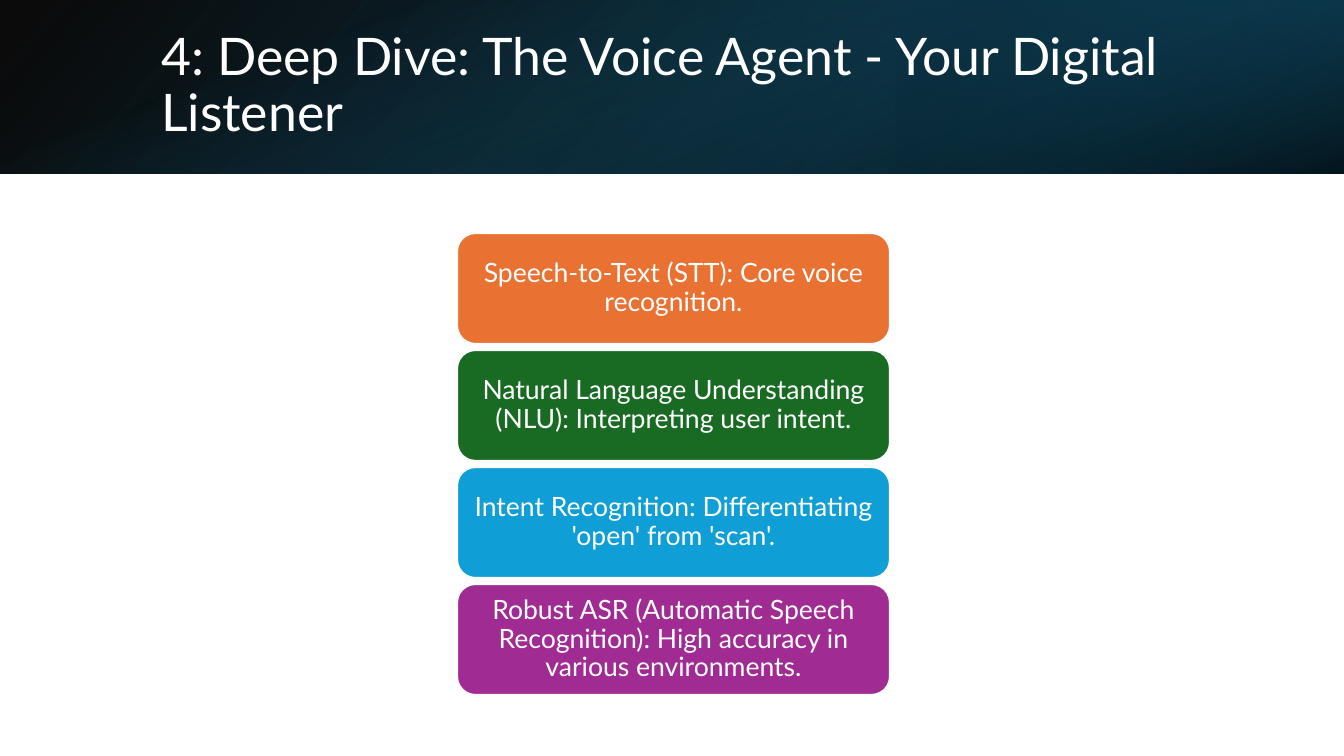
from lxml.etree import SubElement as Sub
from pptx import Presentation
from pptx.dml.color import RGBColor as RGB
from pptx.enum.shapes import MSO_SHAPE as Shape
from pptx.enum.text import MSO_ANCHOR as Anchor, MSO_AUTO_SIZE as Fit, PP_ALIGN as Align
from pptx.oxml.ns import qn
from pptx.util import Pt

HUES = {
    "white": "FFFFFF", "black": "000000", "navy": "104862", "deep": "0B3041",
    "teal": "156082", "orange": "E97132", "green": "196B24", "blue": "0F9ED5",
    "plum": "A02B93",
}
WIDE, HIGH, BAND = 1344, 756, 174
SCALE = 12192000 / WIDE


def px(size):
    return round(size * SCALE)


class Deck:
    font = "Lato"

    def __init__(self):
        self.file = Presentation()
        self.file.slide_width, self.file.slide_height = px(WIDE), px(HIGH)
        self.slide = self.file.slides.add_slide(self.file.slide_layouts[5])

    def hue(self, name):
        return RGB.from_string(HUES[name])

    def label(self, frame, text, size, align):
        frame.text = text
        frame.word_wrap = True
        frame.auto_size = Fit.NONE
        frame.vertical_anchor = Anchor.MIDDLE
        line = frame.paragraphs[0]
        line.alignment = align
        line.line_spacing = 0.9
        font = line.runs[0].font
        font.name, font.size = self.font, Pt(size)
        font.color.rgb = self.hue("white")

    def title(self, box, text):
        shape = self.slide.shapes.title
        shape.left, shape.top, shape.width, shape.height = map(px, box)
        self.label(shape.text_frame, text, 37, Align.LEFT)

    def shape(self, kind, box):
        shape = self.slide.shapes.add_shape(kind, *map(px, box))
        shape.shadow.inherit = False
        return shape

    def shade(self, box, stops, angle, turn=0, flip=False):
        shape = self.shape(Shape.RECTANGLE, box)
        shape.line.fill.background()
        shape.rotation = turn
        if flip:
            shape.element.spPr.xfrm.set("flipH", "1")
        shape.fill.gradient()
        grad = shape.element.spPr.find(qn("a:gradFill"))
        grad.set("rotWithShape", "1")
        for part in list(grad):
            grad.remove(part)
        steps = Sub(grad, qn("a:gsLst"))
        for place, name, alpha in stops:
            stop = Sub(steps, qn("a:gs"), pos=str(place * 1000))
            tint = Sub(stop, qn("a:srgbClr"), val=HUES[name])
            Sub(tint, qn("a:alpha"), val=str(alpha * 1000))
        Sub(grad, qn("a:lin"), ang=str(angle * 60000), scaled="0")
        self.slide.shapes.title.element.addprevious(shape.element)

    def card(self, box, name, text):
        shape = self.shape(Shape.ROUNDED_RECTANGLE, box)
        shape.fill.solid()
        shape.fill.fore_color.rgb = self.hue(name)
        shape.line.color.rgb = self.hue("white")
        shape.line.width = Pt(1.5)
        frame = shape.text_frame
        frame.margin_left = frame.margin_right = px(8)
        frame.margin_top = frame.margin_bottom = px(4)
        self.label(frame, text, 19, Align.CENTER)


def main():
    deck = Deck()
    deck.shade((0, 0, WIDE, BAND), [(0, "black", 96), (100, "navy", 100)], 140, flip=True)
    deck.shade((896, 0, 448, BAND), [(19, "deep", 68), (100, "teal", 79)], 320, 180, True)
    mid = (WIDE - BAND) // 2
    deck.shade((mid, -mid, BAND, WIDE), [(23, "teal", 0), (99, "black", 74)], 340, 90)
    deck.title((151, 38, 1107, 97), "4: Deep Dive: The Voice Agent - Your Digital Listener")
    cards = [
        ("orange", "Speech-to-Text (STT): Core voice recognition."),
        ("green", "Natural Language Understanding (NLU): Interpreting user intent."),
        ("blue", "Intent Recognition: Differentiating 'open' from 'scan'."),
        ("plum", "Robust ASR (Automatic Speech Recognition): High accuracy in various environments."),
    ]
    for row, (name, text) in enumerate(cards):
        deck.card((457, 233 + 117 * row, 433, 111), name, text)
    deck.file.save("out.pptx")


if __name__ == "__main__":
    main()
